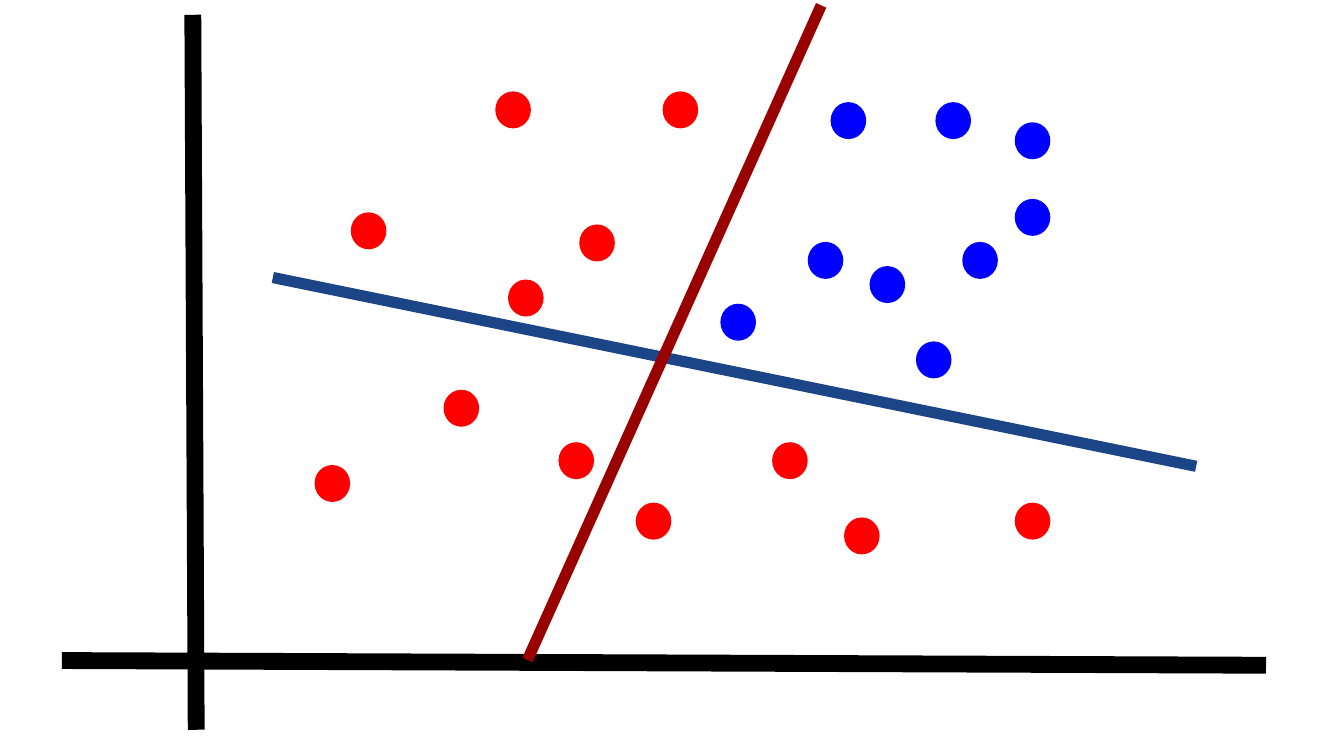
from lxml import etree
from pptx import Presentation
from pptx.dml.color import RGBColor
from pptx.enum.shapes import MSO_CONNECTOR, MSO_SHAPE
from pptx.oxml.ns import qn
from pptx.util import Pt

LINE = MSO_CONNECTOR.STRAIGHT
OVAL = MSO_SHAPE.OVAL
PX = 4572  # EMU per px, 200 px to the inch
WIDE, HIGH = 2000, 1125
DOT = (53, 55)

COLORS = {
    "axis": "000000",
    "red": "FF0000",
    "blue": "0000FF",
    "navy": "1C4587",
    "maroon": "990000",
}

# start, end, color, width in points
AXES = [
    ((287, 22), (292, 1086), "axis", 9),
    ((92, 983), (1884, 990), "axis", 9),
]
SPLITS = [
    ((406, 413), (1780, 694), "navy", 6),
    ((1222, 8), (785, 982), "maroon", 6),
]

# top left corner of each dot, by class
DOTS = {
    "red": [
        (522, 316), (468, 692), (737, 136), (756, 416), (831, 658),
        (1149, 658), (986, 136), (862, 334), (660, 580), (1510, 748),
        (946, 748), (1256, 770),
    ],
    "blue": [
        (1363, 508), (1294, 396), (1202, 360), (1392, 152), (1510, 296),
        (1432, 360), (1510, 182), (1072, 452), (1236, 152),
    ],
}


def emu(*sizes):
    return [size * PX for size in sizes]


def color(name):
    return RGBColor.from_string(COLORS[name])


def add_line(slide, start, end, name, width):
    line = slide.shapes.add_connector(LINE, *emu(*start, *end))
    line.line.color.rgb = color(name)
    line.line.width = Pt(width)
    etree.SubElement(line._element.spPr, qn("a:effectLst"))


def add_dot(slide, spot, name):
    dot = slide.shapes.add_shape(OVAL, *emu(*spot, *DOT))
    dot.shadow.inherit = False
    dot.fill.solid()
    dot.fill.fore_color.rgb = color(name)
    dot.line.fill.background()


def main():
    deck = Presentation()
    deck.slide_width, deck.slide_height = emu(WIDE, HIGH)
    slide = deck.slides.add_slide(deck.slide_layouts.get_by_name("Blank"))
    for axis in AXES:
        add_line(slide, *axis)
    for name, spots in DOTS.items():
        for spot in spots:
            add_dot(slide, spot, name)
    for split in SPLITS:
        add_line(slide, *split)
    deck.save("out.pptx")


if __name__ == "__main__":
    main()
